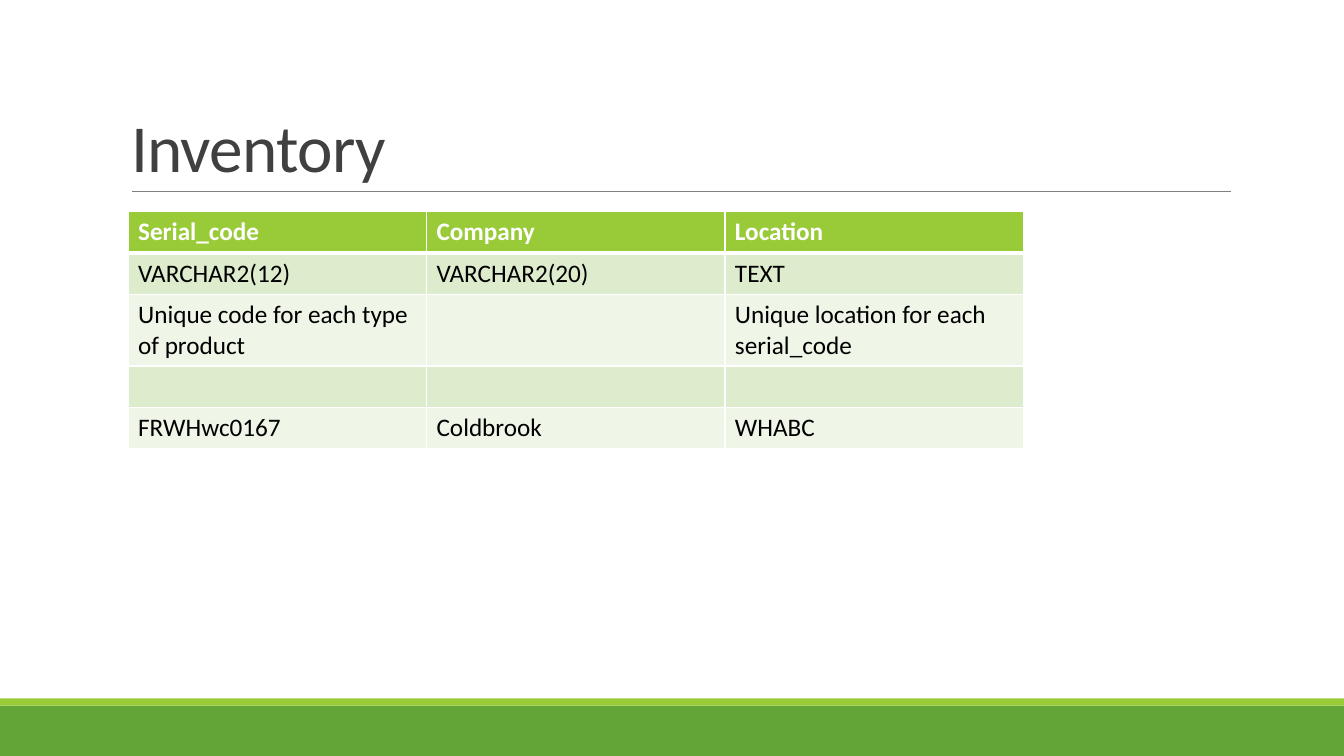
"""Build the Inventory slide: a title over a table of column definitions."""
import dataclasses

import lxml.etree
import pptx
import pptx.dml.color
import pptx.enum.shapes
import pptx.enum.text
import pptx.oxml.ns
import pptx.util

Inches = pptx.util.Inches
Pt = pptx.util.Pt
Color = pptx.dml.color.RGBColor.from_string


@dataclasses.dataclass
class Theme:
    font: str = "Calibri"
    title_size: int = 48
    table_size: int = 18
    title: str = "404040"
    rule: str = "808080"
    dark_green: str = "63A537"
    green: str = "99CB38"
    odd_row: str = "DEECCE"
    even_row: str = "EFF6E8"
    white: str = "FFFFFF"
    black: str = "000000"


def style_font(font, size, color, bold=False):
    font.name = theme.font
    font.size = Pt(size)
    font.bold = bold
    font.color.rgb = Color(color)


def add_border(cell, side, points):
    properties = cell._tc.get_or_add_tcPr()
    line = lxml.etree.SubElement(
        properties, pptx.oxml.ns.qn(f"a:ln{side}"), w=str(Pt(points)))
    fill = lxml.etree.SubElement(line, pptx.oxml.ns.qn("a:solidFill"))
    lxml.etree.SubElement(fill, pptx.oxml.ns.qn("a:srgbClr"), val=theme.white)


theme = Theme()
deck = pptx.Presentation()
deck.slide_width = Inches(13.33)
deck.slide_height = Inches(7.5)
page = deck.slides.add_slide(deck.slide_layouts[5])

for top, height, color in [(7, 0.5, theme.dark_green), (6.93, 0.07, theme.green)]:
    band = page.shapes.add_shape(
        pptx.enum.shapes.MSO_SHAPE.RECTANGLE,
        0, Inches(top), deck.slide_width, Inches(height))
    band.shadow.inherit = False
    band.fill.solid()
    band.fill.fore_color.rgb = Color(color)
    band.line.fill.background()

rule = page.shapes.add_connector(
    pptx.enum.shapes.MSO_CONNECTOR.STRAIGHT,
    Inches(1.31), Inches(1.9), Inches(12.21), Inches(1.9))
rule.line.color.rgb = Color(theme.rule)
rule.line.width = Pt(0.5)
lxml.etree.SubElement(rule._element.spPr, pptx.oxml.ns.qn("a:effectLst"))

title = page.shapes.title
title.left, title.top = Inches(1.2), Inches(0.31)
title.width, title.height = Inches(11), Inches(1.59)
title.text_frame.text = "Inventory"
title.text_frame.word_wrap = True
title.text_frame.auto_size = pptx.enum.text.MSO_AUTO_SIZE.NONE
title.text_frame.vertical_anchor = pptx.enum.text.MSO_ANCHOR.BOTTOM
heading = title.text_frame.paragraphs[0]
heading.alignment = pptx.enum.text.PP_ALIGN.LEFT
heading.line_spacing = 0.85
span = heading.runs[0]
style_font(span.font, theme.title_size, theme.title)
span._r.get_or_add_rPr().set("spc", "-50")

rows = [
    ("Serial_code", "Company", "Location"),
    ("VARCHAR2(12)", "VARCHAR2(20)", "TEXT"),
    ("Unique code for each type of product", "",
     "Unique location for each serial_code"),
    ("", "", ""),
    ("FRWHwc0167", "Coldbrook", "WHABC"),
]
row_heights = [0.41, 0.41, 0.7, 0.41, 0.41]
table = page.shapes.add_table(
    len(rows), len(rows[0]), Inches(1.27), Inches(2.1),
    Inches(8.89), Inches(sum(row_heights))).table
for column in table.columns:
    column.width = Inches(2.96)

for row_index, texts in enumerate(rows):
    table.rows[row_index].height = Inches(row_heights[row_index])
    is_header = row_index == 0
    fill_color = theme.odd_row if row_index % 2 else theme.even_row
    for column_index, text in enumerate(texts):
        cell = table.cell(row_index, column_index)
        cell.text_frame.text = text
        para = cell.text_frame.paragraphs[0]
        style_font(para.font, theme.table_size, theme.black)
        for span in para.runs:
            style_font(span.font, theme.table_size,
                       theme.white if is_header else theme.black, is_header)
        add_border(cell, "L", 1)
        add_border(cell, "R", 1)
        add_border(cell, "T", 3 if row_index == 1 else 1)
        add_border(cell, "B", 3 if is_header else 1)
        cell.fill.solid()
        cell.fill.fore_color.rgb = Color(theme.green if is_header else fill_color)

deck.save("out.pptx")
